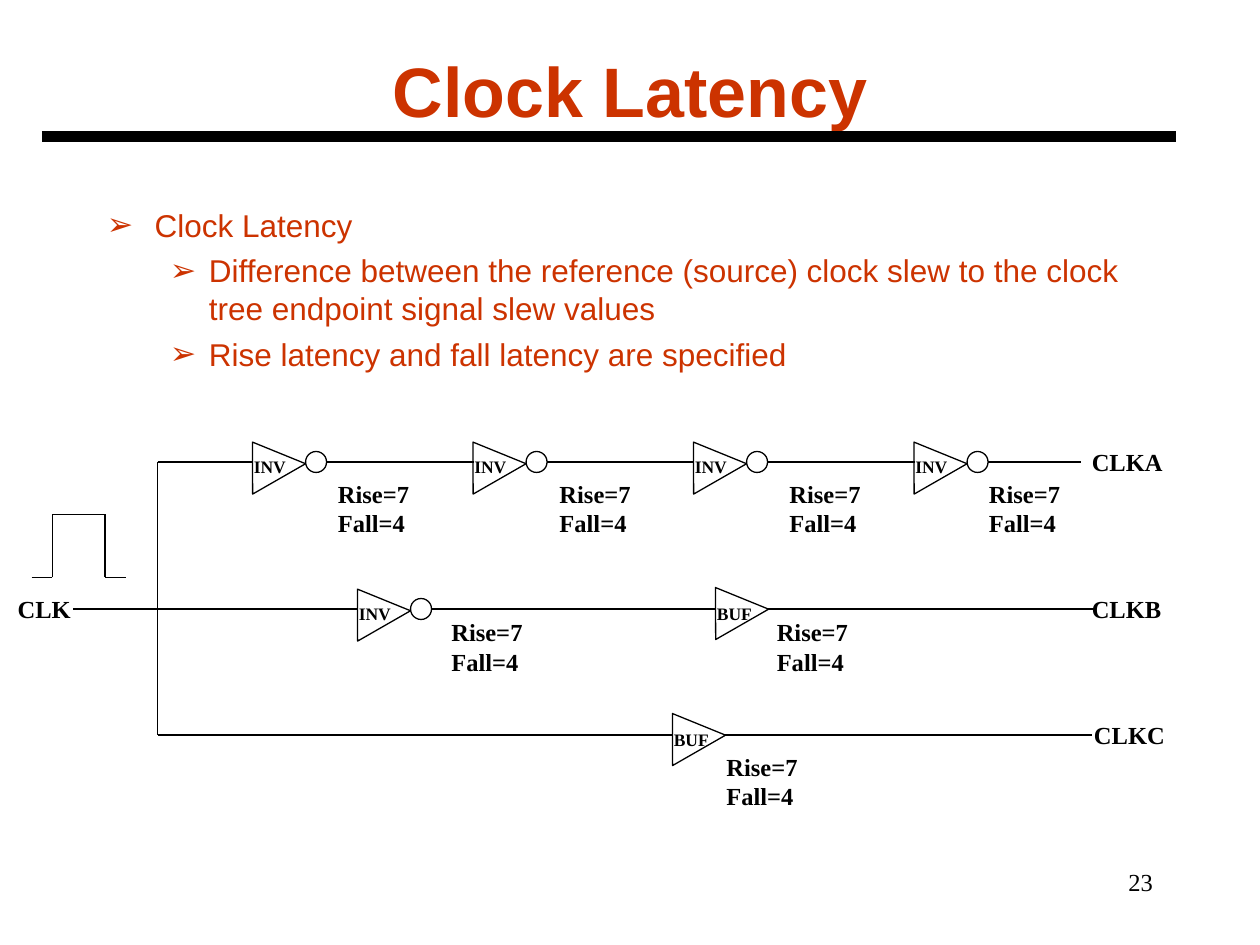
"""Build the Clock Latency slide on a grid of 120 columns by 90 rows."""
from dataclasses import dataclass

from lxml import etree
from pptx import Presentation
from pptx.dml.color import RGBColor
from pptx.enum.shapes import MSO_CONNECTOR, MSO_SHAPE
from pptx.enum.text import MSO_ANCHOR, MSO_AUTO_SIZE, PP_ALIGN
from pptx.oxml.ns import qn
from pptx.shapes.autoshape import Shape
from pptx.slide import Slide
from pptx.text.text import TextFrame, _Paragraph
from pptx.util import Inches, Pt

STRAIGHT = MSO_CONNECTOR.STRAIGHT
TRIANGLE = MSO_SHAPE.ISOSCELES_TRIANGLE
CIRCLE = MSO_SHAPE.FLOWCHART_CONNECTOR
MIDDLE = MSO_ANCHOR.MIDDLE
GROW = MSO_AUTO_SIZE.SHAPE_TO_FIT_TEXT
NO_FIT = MSO_AUTO_SIZE.NONE
LEFT, CENTER, RIGHT = PP_ALIGN.LEFT, PP_ALIGN.CENTER, PP_ALIGN.RIGHT

BLACK = RGBColor(0x00, 0x00, 0x00)
RUST = RGBColor(0xCC, 0x33, 0x00)
SANS, SERIF = "Arial", "Times New Roman"

SLIDE_WIDTH, SLIDE_HEIGHT = Inches(10), Inches(7.5)
COLUMNS, ROWS = 120, 90
GATE_WIDTH, GATE_HEIGHT, BUBBLE = 4.95, 5.05, 2
LABEL_WIDTH = 9.3
TRUNK = 15
ROW_A, ROW_B, ROW_C = 44, 58, 70
DELAY = ("Rise=7", "Fall=4")


@dataclass(frozen=True)
class Gate:
    kind: str
    column: float
    delay_column: float
    delay_row: float

    @property
    def output(self) -> float:
        return self.column + (7 if self.kind == "INV" else GATE_WIDTH)


@dataclass(frozen=True)
class Branch:
    name: str
    row: float
    start: float
    end: float
    name_column: float
    gates: tuple[Gate, ...]


@dataclass(frozen=True)
class Bullet:
    text: str
    level: int
    margin: float
    hanging: float


BRANCHES = (
    Branch("CLKA", ROW_A, TRUNK, 103, 102.8, tuple(
        Gate("INV", 24.1 + 21 * index, delay_column, 45)
        for index, delay_column in enumerate((31, 52.1, 74, 93)))),
    Branch("CLKB", ROW_B, 7, 104.2, 102.8,
           (Gate("INV", 34.1, 41.8, 58.2), Gate("BUF", 68.2, 72.8, 58.2))),
    Branch("CLKC", ROW_C, TRUNK, 104, 103, (Gate("BUF", 64.1, 68, 71),)),
)

BULLETS = (
    Bullet("Clock Latency", 0, 0.38, 0.38),
    Bullet("Difference between the reference (source) clock slew to the clock "
           "tree endpoint signal slew values", 1, 0.81, 0.31),
    Bullet("Rise latency and fall latency are specified", 1, 0.81, 0.31),
)

PULSE = ((3, 55), (5, 55), (5, 49), (10, 49), (10, 55), (12, 55))


def across(columns: float) -> int:
    """Turn grid columns into a length."""
    return round(SLIDE_WIDTH * columns / COLUMNS)


def down(rows: float) -> int:
    """Turn grid rows into a length."""
    return round(SLIDE_HEIGHT * rows / ROWS)


def add_span(para: _Paragraph, text: str, font: str, size: float,
             color: RGBColor, bold: bool) -> None:
    """Add one formatted run."""
    span = para.add_run()
    span.text = text
    span.font.name = font
    span.font.size = Pt(size)
    span.font.bold = bold
    span.font.color.rgb = color


def next_para(frame: TextFrame, index: int) -> _Paragraph:
    """Return the first paragraph, or a new one after it."""
    return frame.add_paragraph() if index else frame.paragraphs[0]


def add_label(page: Slide, column: float, row: float, width: float,
              height: float, lines: tuple[str, ...], size: float = 14,
              bold: bool = True, wrap: bool = False,
              align: PP_ALIGN = LEFT) -> None:
    """Add a serif label of one or more lines."""
    box = page.shapes.add_textbox(across(column), down(row), across(width), down(height))
    frame = box.text_frame
    frame.word_wrap = wrap
    frame.auto_size = GROW if bold else NO_FIT
    for index, line in enumerate(lines):
        para = next_para(frame, index)
        para.alignment = align
        add_span(para, line, SERIF, size, BLACK, bold)


def add_wire(page: Slide, start: tuple[float, float], end: tuple[float, float],
             weight: float = 0.75) -> None:
    """Draw a straight black line between two grid points."""
    wire = page.shapes.add_connector(
        STRAIGHT, across(start[0]), down(start[1]), across(end[0]), down(end[1]))
    wire.line.color.rgb = BLACK
    wire.line.width = Pt(weight)
    etree.SubElement(wire._element.spPr, qn("a:effectLst"))


def add_outline(page: Slide, preset: MSO_SHAPE, column: float, row: float,
                width: float, height: float) -> Shape:
    """Draw an unfilled preset shape."""
    shape = page.shapes.add_shape(
        preset, across(column), down(row), across(width), down(height))
    shape.shadow.inherit = False
    shape.fill.background()
    shape.line.color.rgb = BLACK
    shape.line.width = Pt(0.75)
    return shape


def add_gate(page: Slide, gate: Gate, row: float) -> None:
    """Draw a gate with its kind and its delay values."""
    inverting = gate.kind == "INV"
    rise = 1.95 if inverting else 2.1
    body = add_outline(page, TRIANGLE, gate.column, row - rise, GATE_WIDTH, GATE_HEIGHT)
    body.adjustments[0] = 0.42
    body.rotation = 89.8
    if inverting:
        add_outline(page, CIRCLE, gate.output - BUBBLE, row - BUBBLE / 2, BUBBLE, BUBBLE)
    add_label(page, gate.column - 1.1, row - 1.2, 6, 3.2, (gate.kind,), 10, wrap=True)
    add_label(page, gate.delay_column, gate.delay_row, LABEL_WIDTH, 6.8, DELAY)


def add_branch(page: Slide, branch: Branch) -> None:
    """Draw a clock branch from its source to its named endpoint."""
    start = branch.start
    for gate in branch.gates:
        add_wire(page, (start, branch.row), (gate.column, branch.row))
        add_gate(page, gate, branch.row)
        start = gate.output
    add_wire(page, (start, branch.row), (branch.end, branch.row))
    add_label(page, branch.name_column, branch.row - 2, LABEL_WIDTH, 4.1, (branch.name,))


def add_title(page: Slide) -> None:
    """Place and format the title and the rule below it."""
    title = page.shapes.title
    title.left, title.top = across(9), down(1)
    title.width, title.height = across(102), down(15)
    frame = title.text_frame
    frame.vertical_anchor = MIDDLE
    frame.auto_size = NO_FIT
    para = frame.paragraphs[0]
    para.alignment = CENTER
    add_span(para, "Clock Latency", SANS, 40, RUST, True)
    add_wire(page, (4, 13), (112, 13), 6)


def add_bullets(page: Slide) -> None:
    """Add the bulleted explanation."""
    box = page.shapes.add_textbox(across(9), down(19), across(102), down(20))
    frame = box.text_frame
    frame.word_wrap = True
    for index, bullet in enumerate(BULLETS):
        para = next_para(frame, index)
        para.level = bullet.level
        if index:
            para.space_before = Pt(4.5)
        properties = para._p.get_or_add_pPr()
        properties.set("marL", str(Inches(bullet.margin)))
        properties.set("indent", str(-Inches(bullet.hanging)))
        color = etree.SubElement(properties, qn("a:buClr"))
        etree.SubElement(color, qn("a:srgbClr"), val=str(RUST))
        etree.SubElement(properties, qn("a:buFont"), typeface=SANS)
        etree.SubElement(properties, qn("a:buChar"), char="➢")
        add_span(para, bullet.text, SANS, 18, RUST, False)


def main() -> None:
    """Build and save the deck."""
    deck = Presentation()
    deck.slide_width, deck.slide_height = SLIDE_WIDTH, SLIDE_HEIGHT
    page = deck.slides.add_slide(deck.slide_layouts.get_by_name("Title Only"))
    add_title(page)
    add_bullets(page)
    for branch in BRANCHES:
        add_branch(page, branch)
    add_wire(page, (TRUNK, ROW_A), (TRUNK, ROW_C))
    for start, end in zip(PULSE, PULSE[1:]):
        add_wire(page, start, end)
    add_label(page, 0.5, ROW_B - 2, 7.8, 4.1, ("CLK",))
    add_label(page, 86, 82, 25, 6, ("23",), bold=False, wrap=True, align=RIGHT)
    deck.save("out.pptx")


if __name__ == "__main__":
    main()
